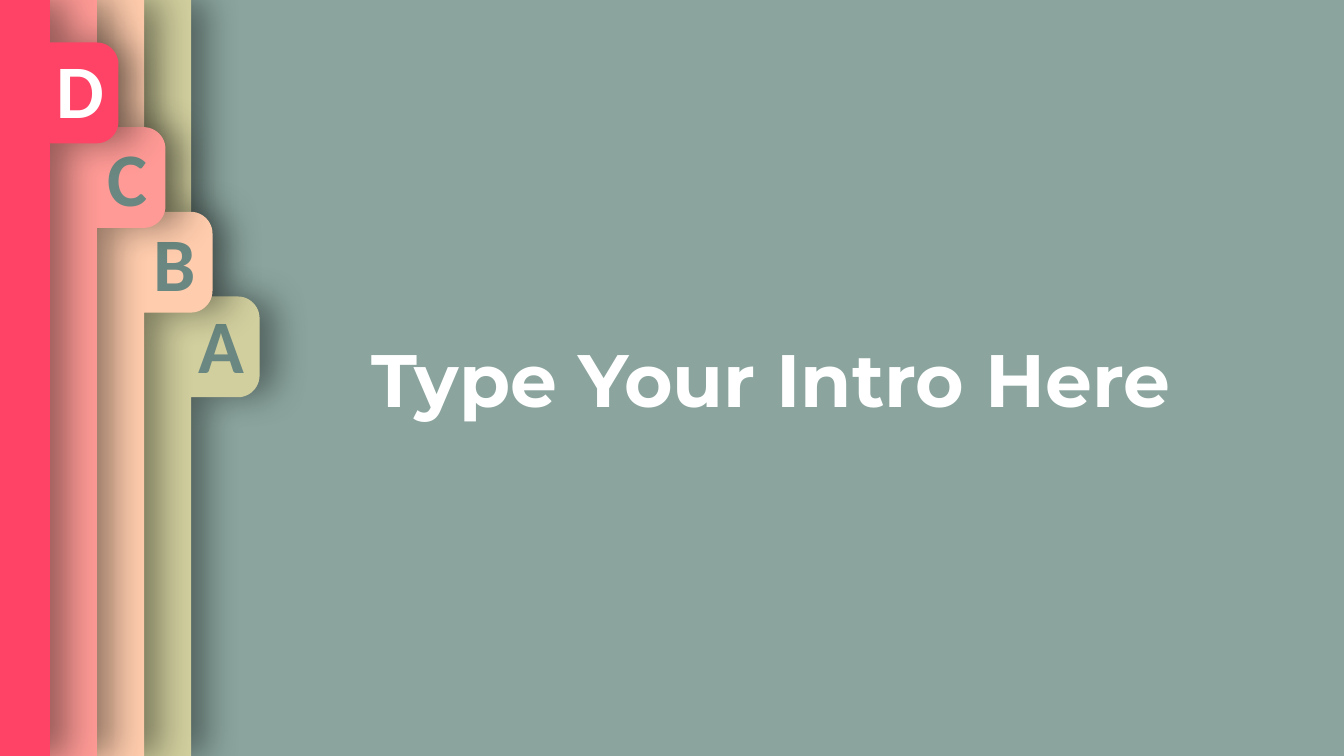
from dataclasses import dataclass
from math import cos, radians, sin

from lxml.etree import SubElement
from pptx import Presentation
from pptx.dml.color import RGBColor
from pptx.enum.text import MSO_ANCHOR, MSO_AUTO_SIZE, PP_ALIGN
from pptx.oxml.ns import qn
from pptx.util import Emu, Inches, Pt

# Grid: 160 columns by 90 rows of square cells on a 13.33 x 7.5 inch slide
COLS, ROWS = 160, 90
CELL = Inches(7.5) / ROWS


@dataclass(frozen=True)
class Theme:
    background: str = "8BA59E"
    white: str = "FFFFFF"
    letter: str = "6A8881"
    shadow: str = "000000"
    title_font: str = "Montserrat"
    letter_font: str = "Calibri"
    title_size: float = 53
    letter_size: float = 54


THEME = Theme()


@dataclass(frozen=True)
class Sheet:
    letter: str
    fill: str
    color: str = THEME.letter
    letter_shift: float = -0.12  # rows from the top of the tab


# Left to right; each sheet lies on top of the next one
SHEETS = [
    Sheet("D", "FF4366", THEME.white, -0.6),
    Sheet("C", "FF9A96"),
    Sheet("B", "FFCCAD"),
    Sheet("A", "D1CF9E", letter_shift=-0.4),
]
FIRST_EDGE, EDGE_STEP = 5.95, 5.6
FIRST_TAB, TAB_STEP = 5.06, 10.08
TAB_WIDTH, TAB_HEIGHT, TAB_RADIUS = 8.15, 12, 2.6
LETTER_WIDTH, LETTER_HEIGHT, LETTER_INSET = 9.12, 12.12, 0.93


def cells(n: float) -> Emu:
    return Emu(round(n * CELL))


def place(sp, left: float, top: float, width: float, height: float) -> None:
    sp.left, sp.top = cells(left), cells(top)
    sp.width, sp.height = cells(width), cells(height)


def write(sp, text: str, *, font: str, size: float, color: str) -> None:
    tf = sp.text_frame
    tf.word_wrap = True
    tf.auto_size = MSO_AUTO_SIZE.SHAPE_TO_FIT_TEXT
    tf.vertical_anchor = MSO_ANCHOR.TOP
    p = tf.paragraphs[0]
    p.alignment = PP_ALIGN.CENTER
    r = p.add_run()
    r.text = text
    r.font.name, r.font.size, r.font.bold = font, Pt(size), True
    r.font.color.rgb = RGBColor.from_string(color)


def add_shadow(sp) -> None:
    """Soft shadow falling to the right."""
    sp.shadow.inherit = False
    effects = sp._element.spPr.find(qn("a:effectLst"))
    outer = SubElement(effects, qn("a:outerShdw"), blurRad=str(Pt(25)),
                       dist=str(Pt(12)), dir="0", algn="l", rotWithShape="0")
    clr = SubElement(outer, qn("a:srgbClr"), val=THEME.shadow)
    SubElement(clr, qn("a:alpha"), val="40000")


def corner(x: float, y: float, start: int) -> list[tuple[float, float]]:
    """Quarter circle round (x, y), clockwise from the start angle."""
    angles = [radians(start + 7.5 * i) for i in range(13)]
    return [(x + TAB_RADIUS * cos(a), y + TAB_RADIUS * sin(a)) for a in angles]


def add_sheet(s, sheet: Sheet, index: int) -> None:
    # A sheet is as wide as the slide and pulled in from the left
    edge = FIRST_EDGE + index * EDGE_STEP
    left = edge - COLS
    top = FIRST_TAB + index * TAB_STEP
    bottom = top + TAB_HEIGHT
    bend = edge + TAB_WIDTH - TAB_RADIUS
    outline = [(left, 0), (edge, 0), (edge, top),
               *corner(bend, top + TAB_RADIUS, -90),
               *corner(bend, bottom - TAB_RADIUS, 0),
               (edge, bottom), (edge, ROWS), (left, ROWS)]
    points = [(cells(x), cells(y)) for x, y in outline]
    fb = s.shapes.build_freeform(*points[0])
    fb.add_line_segments(points[1:], close=True)
    sp = fb.convert_to_shape()
    sp.fill.solid()
    sp.fill.fore_color.rgb = RGBColor.from_string(sheet.fill)
    sp.line.fill.background()
    add_shadow(sp)

    box = s.shapes.add_textbox(0, 0, 0, 0)
    place(box, edge - LETTER_INSET, top + sheet.letter_shift,
          LETTER_WIDTH, LETTER_HEIGHT)
    write(box, sheet.letter, font=THEME.letter_font,
          size=THEME.letter_size, color=sheet.color)


def main() -> None:
    prs = Presentation()
    prs.slide_width, prs.slide_height = cells(COLS), cells(ROWS)
    s = prs.slides.add_slide(prs.slide_layouts[5])
    s.background.fill.solid()
    s.background.fill.fore_color.rgb = RGBColor.from_string(THEME.background)

    # Title
    title = s.shapes.title
    place(title, 38.76, 39.05, 106.08, 11.88)
    write(title, "Type Your Intro Here", font=THEME.title_font,
          size=THEME.title_size, color=THEME.white)

    # Tabbed sheets, from the back to the front
    for index, sheet in reversed(list(enumerate(SHEETS))):
        add_sheet(s, sheet, index)

    prs.save("out.pptx")


if __name__ == "__main__":
    main()
